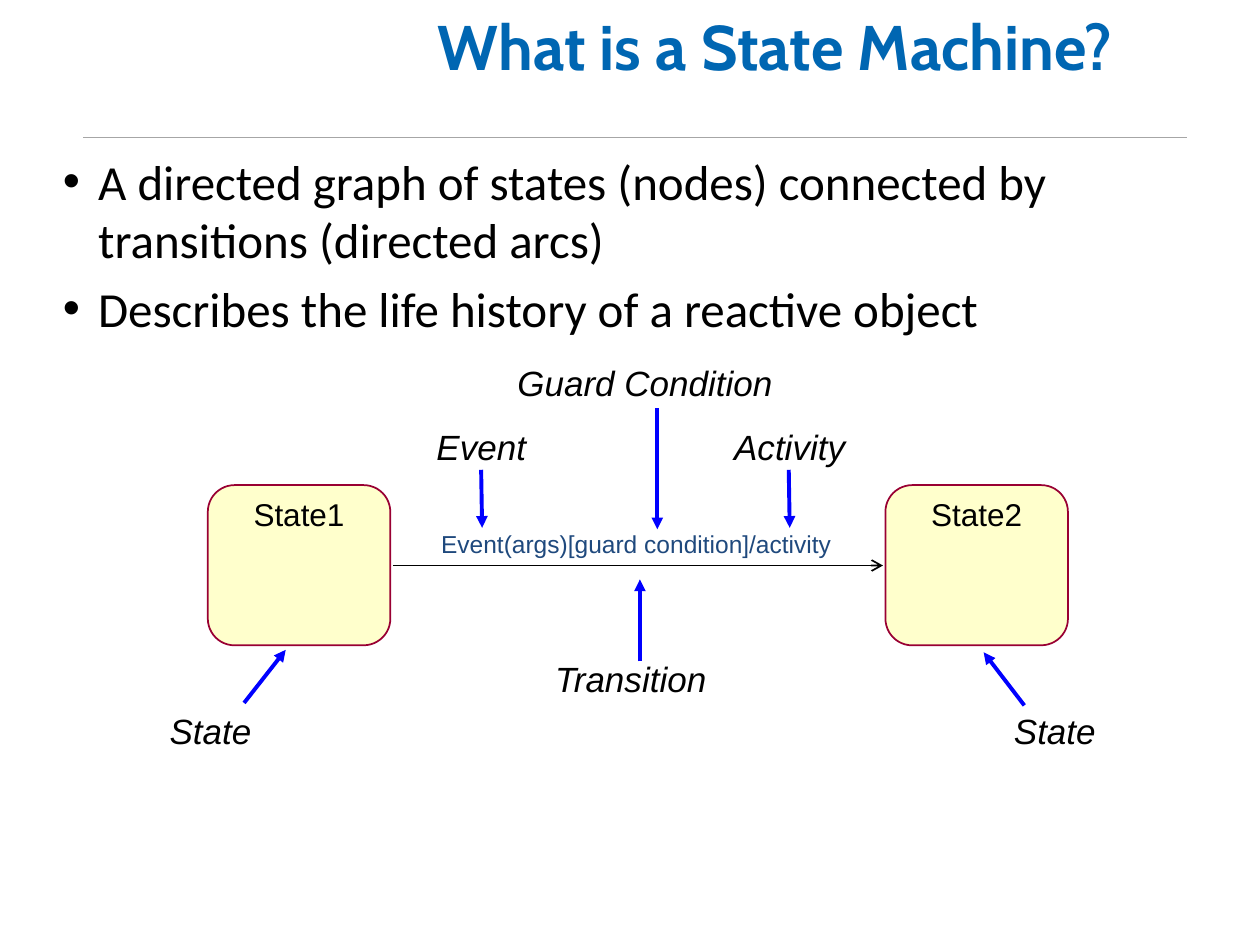
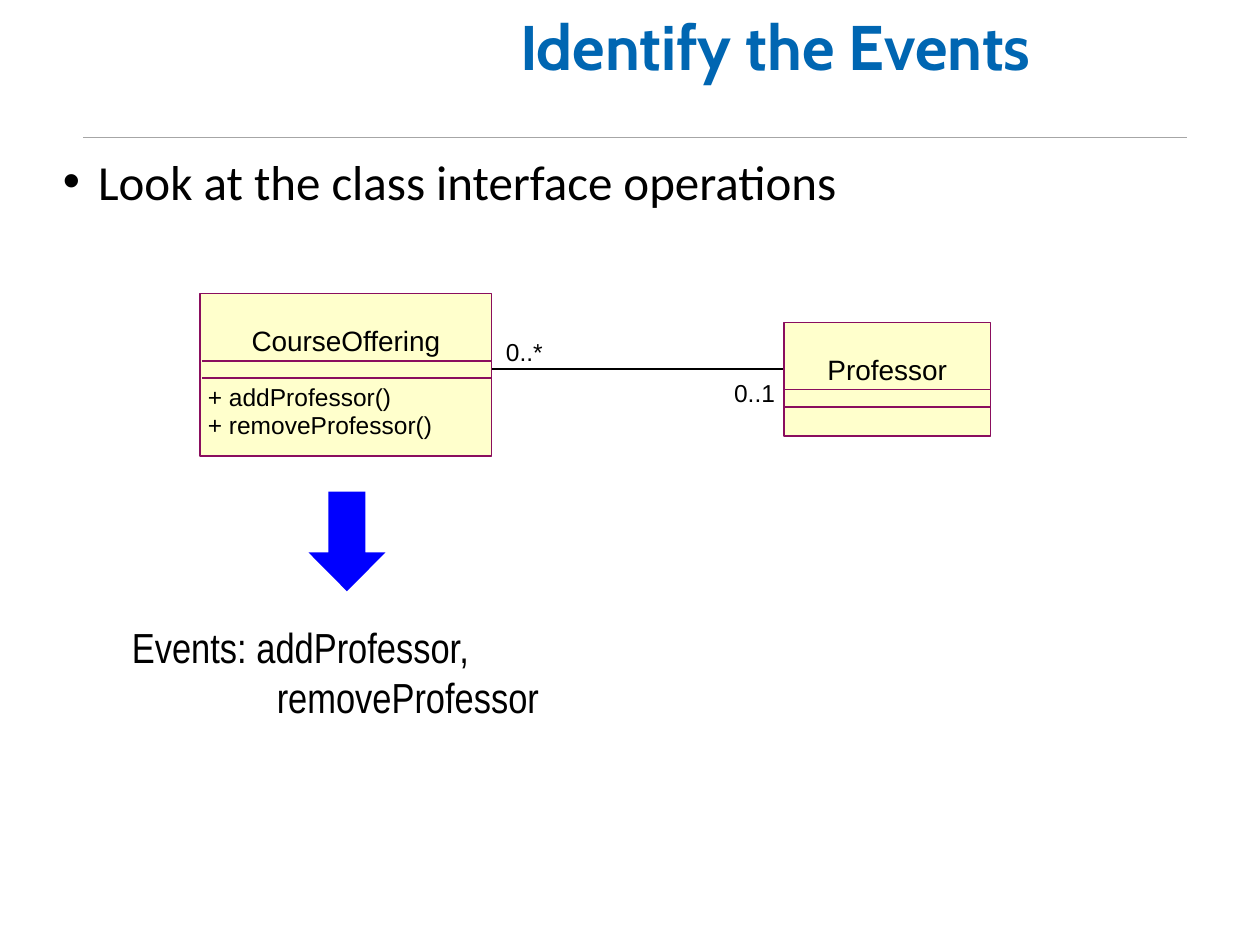
from pptx import Presentation
from pptx import util as u
from pptx.dml.color import RGBColor
from pptx.enum import shapes, text
from pptx.oxml.ns import qn
from lxml import etree

COLORS = {
    "title": "0066B2", "rule": "A6A6A6", "text": "000000", "guard": "1F497D",
    "arrow": "0000FF", "fill": "FFFFCC", "state": "990033", "class": "8A0E5E",
}
CENTER = text.PP_ALIGN.CENTER


def rgb(name):
    return RGBColor.from_string(COLORS[name])


def cm(*lengths):
    return [u.Cm(length) for length in lengths]


def style(para, size, font="Arial", color="text", italic=False, bold=False, align=None):
    para.font.size, para.font.name = u.Pt(size), font
    para.font.italic, para.font.bold = italic, bold
    para.font.color.rgb = rgb(color)
    para.alignment = align


def set_indent(para, indent):
    """Hanging indent: the first line starts at the left edge."""
    props = para._p.get_or_add_pPr()
    props.set("marL", str(u.Cm(indent)))
    props.set("indent", str(-u.Cm(indent)))
    return props


def add_text(page, words, left, top, width, height, size, wrap=True, **look):
    box = page.shapes.add_textbox(*cm(left, top, width, height))
    box.text_frame.word_wrap = wrap
    para = box.text_frame.paragraphs[0]
    para.text = words
    style(para, size, **look)
    return box


def add_line(page, start, end, color, width, head=None):
    line = page.shapes.add_connector(shapes.MSO_CONNECTOR.STRAIGHT, *cm(*start, *end))
    line.line.color.rgb = rgb(color)
    line.line.width = u.Pt(width)
    if head:
        etree.SubElement(line.line._get_or_add_ln(), qn("a:tailEnd"), type=head)
    etree.SubElement(line._element.spPr, qn("a:effectLst"))


def add_block(page, kind, left, top, width, height, fill, outline=None):
    block = page.shapes.add_shape(kind, *cm(left, top, width, height))
    block.shadow.inherit = False
    block.fill.solid()
    block.fill.fore_color.rgb = rgb(fill)
    if outline:
        block.line.color.rgb = rgb(outline)
        block.line.width = u.Pt(1)
    else:
        block.line.fill.background()
    return block


def add_page(deck, heading, points):
    """Title, rule below it and bullet list, as on every slide."""
    page = deck.slides.add_slide(deck.slide_layouts[5])
    add_line(page, (1.68, 2.77), (23.93, 2.77), "rule", 0.75)

    title = page.shapes.title
    title.left, title.top, title.width, title.height = cm(6.17, 0.03, 18.92, 2.92)
    title.text_frame.text = heading
    title.text_frame.vertical_anchor = text.MSO_ANCHOR.TOP
    title.text_frame.auto_size = text.MSO_AUTO_SIZE.NONE
    style(title.text_frame.paragraphs[0], 36, "Cabin", "title", bold=True, align=CENTER)

    body = page.shapes.add_textbox(*cm(1.02, 2.92, 23.2, 4.55)).text_frame
    body.word_wrap = True
    for number, point in enumerate(points):
        para = body.add_paragraph() if number else body.paragraphs[0]
        para.text = point
        props = set_indent(para, 0.71)
        etree.SubElement(props, qn("a:buFont"), typeface="Arial")
        etree.SubElement(props, qn("a:buChar"), char="•")
        style(para, 28, "Calibri")
        if number:
            para.space_before = u.Pt(5.6)
    return page


def add_state(page, name, left, top):
    state = add_block(page, shapes.MSO_SHAPE.ROUNDED_RECTANGLE,
                      left, top, 3.68, 3.23, "fill", "state")
    state.adjustments[0] = 0.167
    add_text(page, name, left + 0.43, top + 0.08, 2.82, 1.02, 18, align=CENTER)


def add_state_diagram(page, left, top):
    # States and the transition between them
    add_state(page, "State1", left + 1.02, top + 2.62)
    add_state(page, "State2", left + 14.68, top + 2.62)
    add_line(page, (left + 4.75, top + 4.24), (left + 14.63, top + 4.24), "text", 1, "arrow")
    add_text(page, "Event(args)[guard condition]/activity", left + 5.23, top + 3.38,
             8.86, 0.84, 14, color="guard", align=CENTER)

    # Callouts: words, (left, top, width), arrow start, arrow end
    callouts = [
        ("State", (0, 7.01, 2.16), (1.75, 7.01), (2.59, 5.94)),
        ("State", (17.02, 7.01, 2.16), (17.48, 7.06), (16.66, 5.99)),
        ("Transition", (7.77, 5.97, 3.61), (9.73, 6.17), (9.73, 4.52)),
        ("Guard Condition", (7.01, 0, 6), (10.08, 1.07), (10.08, 3.51)),
        ("Activity", (11.38, 1.3, 2.74), (12.73, 2.31), (12.75, 3.48)),
        ("Event", (5.38, 1.3, 2.31), (6.53, 2.31), (6.55, 3.48)),
    ]
    for words, (x, y, width), start, end in callouts:
        add_text(page, words, left + x, top + y, width, 1.09, 20, wrap=False, italic=True)
        add_line(page, (left + start[0], top + start[1]), (left + end[0], top + end[1]),
                 "arrow", 2.25, "triangle")


def add_class(page, name, operations, left, top, width, height):
    add_block(page, shapes.MSO_SHAPE.RECTANGLE, left, top, width, height, "fill", "class")
    for divider in (1.35, 1.7):
        add_line(page, (left + 0.03, top + divider), (left + width, top + divider), "class", 1)
    add_text(page, name, left, top + 0.48, width, 0.94, 16, align=CENTER)
    for number, operation in enumerate(operations):
        add_text(page, operation, left - 0.1, top + 1.65 + 0.58 * number, 5.6, 0.86, 14)


def add_class_diagram(page, left, top):
    # Classes and their association
    add_line(page, (left + 7.55, top + 1.52), (left + 13.44, top + 1.52), "text", 1)
    add_class(page, "CourseOffering", ["+ addProfessor()", "+ removeProfessor()"],
              left + 1.68, top, 5.87, 3.28)
    add_class(page, "Professor", [], left + 13.44, top + 0.58, 4.17, 2.29)
    add_text(page, "0..*", left + 7.59, top + 0.74, 1.27, 0.86, 14, wrap=False)
    add_text(page, "0..1", left + 12.19, top + 1.57, 1.35, 0.86, 14, wrap=False)

    # Events found from the operations
    arrow = add_block(page, shapes.MSO_SHAPE.DOWN_ARROW,
                      left + 3.86, top + 3.99, 1.55, 2.01, "arrow")
    arrow.adjustments[0], arrow.adjustments[1] = 0.479, 0.504
    events = add_text(page, "Events: addProfessor,\vremoveProfessor", left, top + 6.45,
                      10.34, 2.36, 24, font="Arial Narrow").text_frame
    events.margin_left = events.margin_right = u.Cm(0.3)
    events.margin_top = events.margin_bottom = u.Cm(0.15)
    set_indent(events.paragraphs[0], 2.92)


def main():
    deck = Presentation()
    deck.slide_width, deck.slide_height = cm(25.4, 19.05)

    page = add_page(deck, "What is a State Machine?", [
        "A directed graph of states (nodes) connected by transitions (directed arcs)",
        "Describes the life history of a reactive object",
    ])
    add_state_diagram(page, 3.17, 7.16)

    page = add_page(deck, "Identify the Events", ["Look at the class interface operations"])
    add_class_diagram(page, 2.36, 5.92)

    deck.save("out.pptx")


if __name__ == "__main__":
    main()
